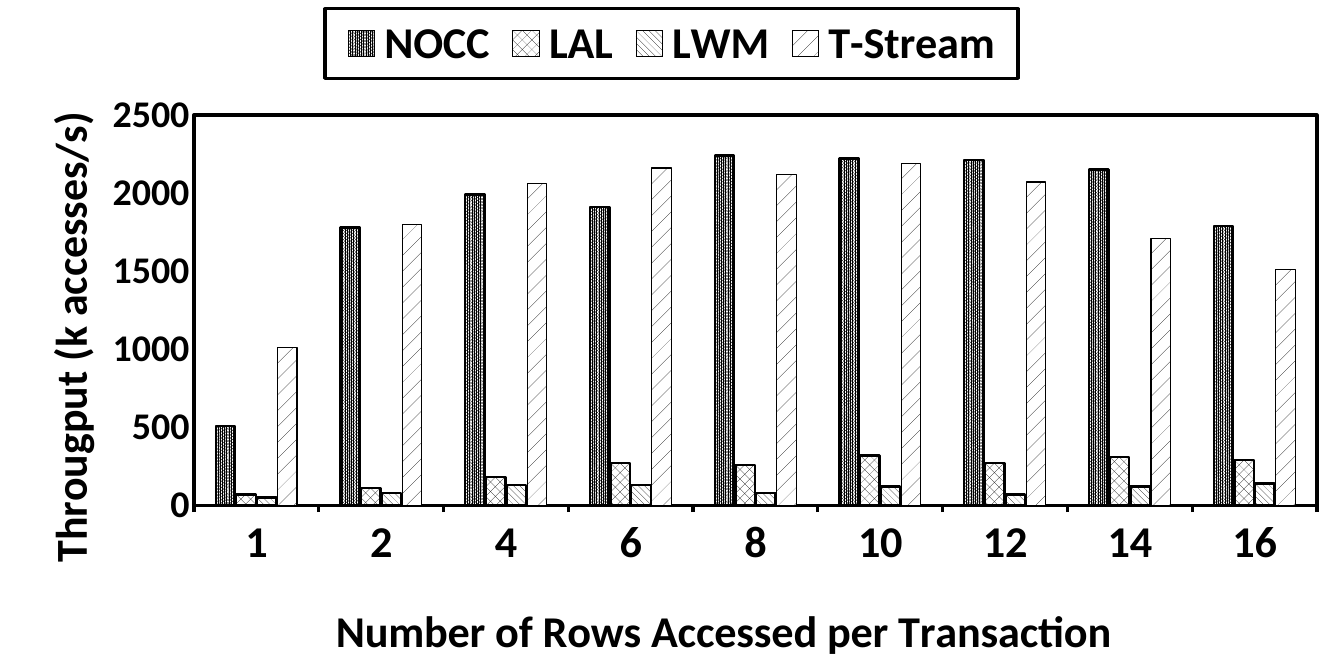
from dataclasses import dataclass

from lxml.etree import SubElement
from pptx import Presentation
from pptx.chart.data import CategoryChartData
from pptx.dml.color import RGBColor
from pptx.enum.chart import XL_CHART_TYPE, XL_LEGEND_POSITION, XL_TICK_MARK
from pptx.enum.dml import MSO_PATTERN
from pptx.oxml import parse_xml
from pptx.oxml.ns import nsdecls, qn
from pptx.util import Pt

SCALE = 8035
PAGE_BOX = (0, 0, 1344, 672)


@dataclass(frozen=True)
class Theme:
    ink: RGBColor = RGBColor(0, 0, 0)
    paper: RGBColor = RGBColor(255, 255, 255)
    font: str = "Calibri"
    large: int = 28
    small: int = 24
    frame: float = 2


THEME = Theme()
ROWS = ("1", "2", "4", "6", "8", "10", "12", "14", "16")
SERIES = (
    ("NOCC", (510, 1780, 1990, 1910, 2240, 2220, 2210, 2150, 1790), "pct90", 1.5),
    ("LAL", (70, 110, 180, 270, 260, 320, 270, 310, 290), "pct40", 1.5),
    ("LWM", (50, 80, 130, 130, 80, 120, 70, 120, 140), "wdDnDiag", 1.5),
    ("T-Stream", (1010, 1800, 2060, 2160, 2120, 2190, 2070, 1710, 1510), "pct5", 0.75),
)


def set_font(font, size):
    font.name, font.size, font.bold = THEME.font, Pt(size), True
    font.color.rgb = THEME.ink


def set_line(line, width):
    line.color.rgb = THEME.ink
    line.width = Pt(width)


def place(element, index, box, place_box, inner=False):
    for old in element.findall(qn("c:layout")):
        element.remove(old)
    layout = parse_xml(f"<c:layout {nsdecls('c')}/>")
    manual = SubElement(layout, qn("c:manualLayout"))
    left, top, width, height = box
    entries = [("layoutTarget", "inner")] if inner else []
    entries += [("xMode", "edge"), ("yMode", "edge")]
    fractions = ((place_box[0] - left) / width, (place_box[1] - top) / height)
    fractions += tuple(part / whole for part, whole in zip(place_box[2:], (width, height)))
    entries += zip("xywh", fractions)
    for name, value in entries:
        SubElement(manual, qn(f"c:{name}")).set("val", str(value))
    element.insert(index, layout)


def frame_xml():
    return parse_xml(
        f'<c:spPr {nsdecls("c", "a")}><a:noFill/><a:ln w="{Pt(THEME.frame)}">'
        f'<a:solidFill><a:srgbClr val="{THEME.ink}"/></a:solidFill></a:ln></c:spPr>')


def style_axis(axis, title, size, box, title_at):
    axis.has_major_gridlines = False
    axis.minor_tick_mark = XL_TICK_MARK.NONE
    set_font(axis.tick_labels.font, size)
    text_frame = axis.axis_title.text_frame
    text_frame.text = title
    set_font(text_frame.paragraphs[0].font, THEME.large)
    place(axis.axis_title._element, 1, box, title_at)


def style_series(chart):
    for series, (_, _, pattern, width) in zip(chart.plots[0].series, SERIES):
        series.invert_if_negative = False
        fill = series.format.fill
        fill.patterned()
        fill.pattern = MSO_PATTERN.from_xml(pattern)
        fill.fore_color.rgb = THEME.ink
        fill.back_color.rgb = THEME.paper
        set_line(series.format.line, width)


def style_legend(chart, box):
    chart.has_legend = True
    legend = chart.legend
    legend.position = XL_LEGEND_POSITION.TOP
    legend.include_in_layout = False
    set_font(legend.font, THEME.large)
    left, top = box[:2]
    place(legend._element, 1, box, (left + 325, top + 9, 693, 70))
    legend._element.find(qn("c:txPr")).addprevious(frame_xml())


def add_throughput_chart(page, box):
    data = CategoryChartData(number_format="0")
    data.categories = ROWS
    for name, values, _, _ in SERIES:
        data.add_series(name, values)
    chart = page.shapes.add_chart(
        XL_CHART_TYPE.COLUMN_CLUSTERED, *(length * SCALE for length in box), data).chart
    chart.has_title = False
    chart.font.name, chart.font.size = THEME.font, Pt(10)
    plot = chart.plots[0]
    plot.vary_by_categories = False
    plot.gap_width, plot.overlap = 223, -6
    style_series(chart)
    style_legend(chart, box)

    left, top = box[:2]
    rows_axis, rate_axis = chart.category_axis, chart.value_axis
    style_axis(rows_axis, "Number of Rows Accessed per Transaction",
               THEME.large, box, (left + 328, top + 598))
    rows_axis.major_tick_mark = XL_TICK_MARK.OUTSIDE
    set_line(rows_axis.format.line, THEME.frame)
    style_axis(rate_axis, "Througput (k accesses/s)",
               THEME.small, box, (left + 32, top + 109))
    rate_axis.major_tick_mark = XL_TICK_MARK.NONE
    rate_axis.format.line.fill.background()
    rate_axis.minimum_scale, rate_axis.maximum_scale = 0, 2500
    rate_axis.major_unit = 500
    body = rate_axis.axis_title.text_frame._txBody.find(qn("a:bodyPr"))
    body.set("rot", "-5400000")
    body.set("vert", "horz")

    area = chart._chartSpace.chart.plotArea
    place(area, 0, box, (left + 194, top + 116, 1123, 394), inner=True)
    area.append(frame_xml())


deck = Presentation()
deck.slide_width, deck.slide_height = (length * SCALE for length in PAGE_BOX[2:])
page = deck.slides.add_slide(deck.slide_layouts[6])
add_throughput_chart(page, PAGE_BOX)
deck.save("out.pptx")
